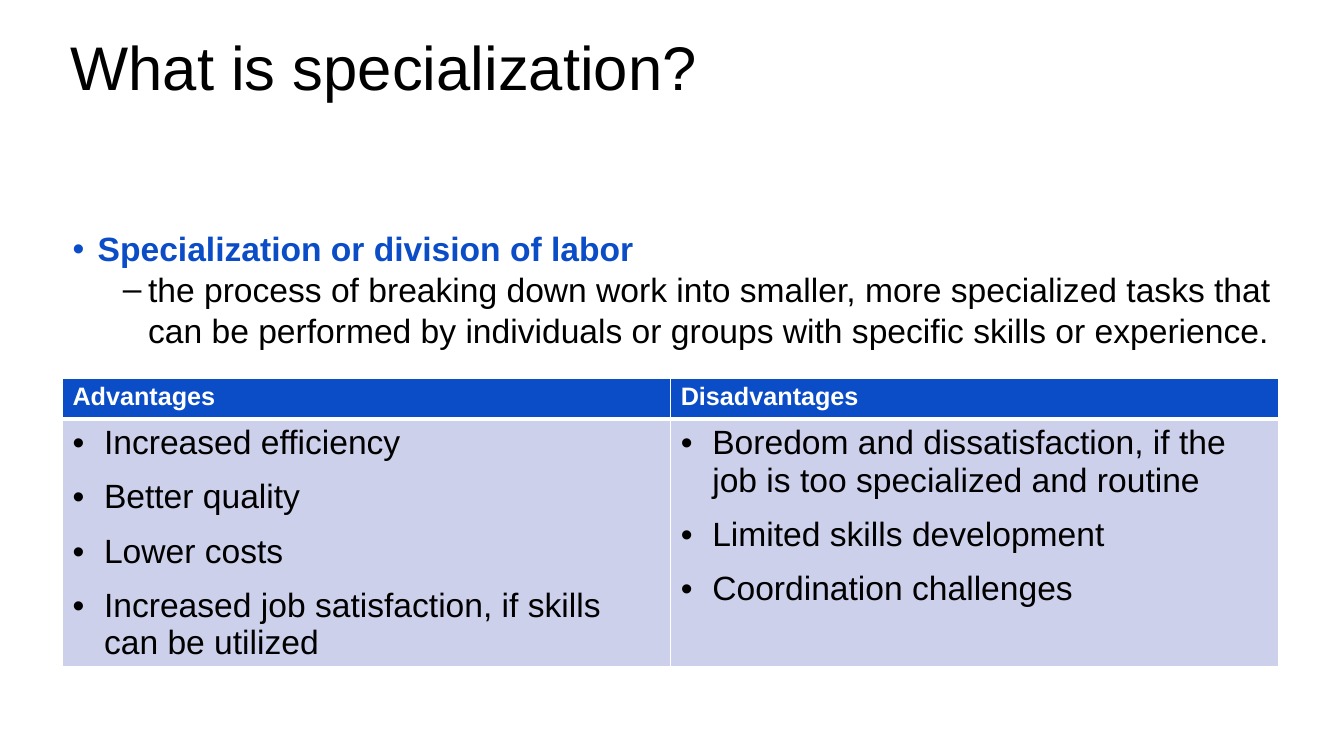
from pptx import Presentation
from pptx.dml.color import RGBColor
from pptx.enum.text import MSO_ANCHOR as Anchor, MSO_AUTO_SIZE as AutoSize, PP_ALIGN as Align
from pptx.oxml.ns import qn
from pptx.util import Pt
from lxml.etree import SubElement

TITLE = "What is specialization?"
TERM = "Specialization or division of labor"
DEFINITION = ("the process of breaking down work into smaller, more specialized tasks that "
              "can be performed by individuals or groups with specific skills or experience.")
COLUMNS = {
    "Advantages": ["Increased efficiency", "Better quality", "Lower costs",
                   "Increased job satisfaction, if skills can be utilized"],
    "Disadvantages": ["Boredom and dissatisfaction, if the job is too specialized and routine",
                      "Limited skills development", "Coordination challenges"],
}
FONT = "Arial"
BLUE, PALE, BLACK, WHITE = "0B4DC7", "CCD0EB", "000000", "FFFFFF"
TITLE_BOX = (43.2, 23, 874.8, 104.4)
BODY_BOX = (44.6, 162.7, 874.8, 104.4)
TABLE_BOX = (44.6, 270, 869, 205)
HEADER_HEIGHT = 29.5


def rgb(value):
    return RGBColor.from_string(value)


def place(sp, box):
    sp.left, sp.top, sp.width, sp.height = map(Pt, box)
    tf = sp.text_frame
    tf.word_wrap = True
    tf.auto_size = AutoSize.NONE
    tf.vertical_anchor = Anchor.TOP
    return tf


def write(p, text, size, color, bold=False, spacing=1, before=0, after=0):
    p.alignment = Align.LEFT
    p.line_spacing = spacing
    p.space_before, p.space_after = Pt(before), Pt(after)
    r = p.add_run()
    r.text = text
    r.font.name, r.font.size, r.font.bold = FONT, Pt(size), bold
    r.font.color.rgb = rgb(color)


def bullet(p, char, left, hang):
    pPr = p._p.get_or_add_pPr()
    pPr.set("marL", str(Pt(left)))
    pPr.set("indent", str(-Pt(hang)))
    SubElement(pPr, qn("a:buFont"), typeface=FONT)
    SubElement(pPr, qn("a:buChar"), char=char)


def style_cell(cell, fill, bottom):
    tcPr = cell._tc.get_or_add_tcPr()
    for side, width in (("L", 1), ("R", 1), ("T", 1), ("B", bottom)):
        ln = SubElement(tcPr, qn(f"a:ln{side}"), w=str(Pt(width)))
        SubElement(SubElement(ln, qn("a:solidFill")), qn("a:srgbClr"), val=WHITE)
    cell.fill.solid()
    cell.fill.fore_color.rgb = rgb(fill)


def add_lists(s):
    table = s.shapes.add_table(2, len(COLUMNS), *map(Pt, TABLE_BOX)).table
    table.rows[0].height = Pt(HEADER_HEIGHT)
    table.rows[1].height = Pt(TABLE_BOX[3] - HEADER_HEIGHT)
    for col, (heading, items) in enumerate(COLUMNS.items()):
        head, body = table.cell(0, col), table.cell(1, col)
        style_cell(head, BLUE, 3)
        style_cell(body, PALE, 1)
        write(head.text_frame.paragraphs[0], heading, 18, WHITE, bold=True)
        tf = body.text_frame
        for i, item in enumerate(items):
            p = tf.add_paragraph() if i else tf.paragraphs[0]
            write(p, item, 24, BLACK, after=12)
            bullet(p, "•", 22.5, 22.5)


def main():
    prs = Presentation()
    prs.slide_width, prs.slide_height = Pt(960), Pt(540)
    s = prs.slides.add_slide(prs.slide_layouts[1])

    tf = place(s.shapes.title, TITLE_BOX)
    write(tf.paragraphs[0], TITLE, 44, BLACK, spacing=0.9)

    tf = place(s.placeholders[1], BODY_BOX)
    p = tf.paragraphs[0]
    write(p, TERM, 24, BLUE, bold=True, spacing=0.9, before=10)
    bullet(p, "•", 18, 18)
    p = tf.add_paragraph()
    p.level = 1
    write(p, DEFINITION, 24, BLACK, after=6)
    bullet(p, "–", 54, 18)

    add_lists(s)
    prs.save("out.pptx")


if __name__ == "__main__":
    main()
